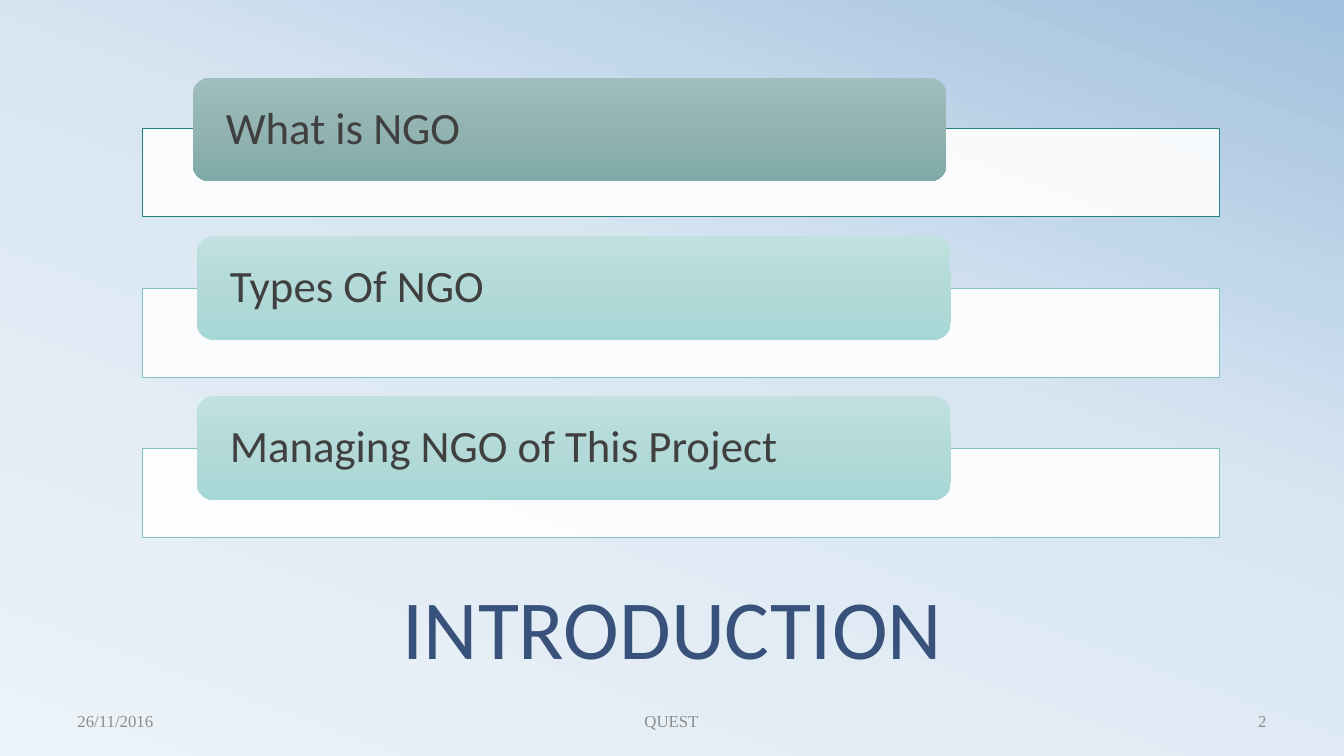
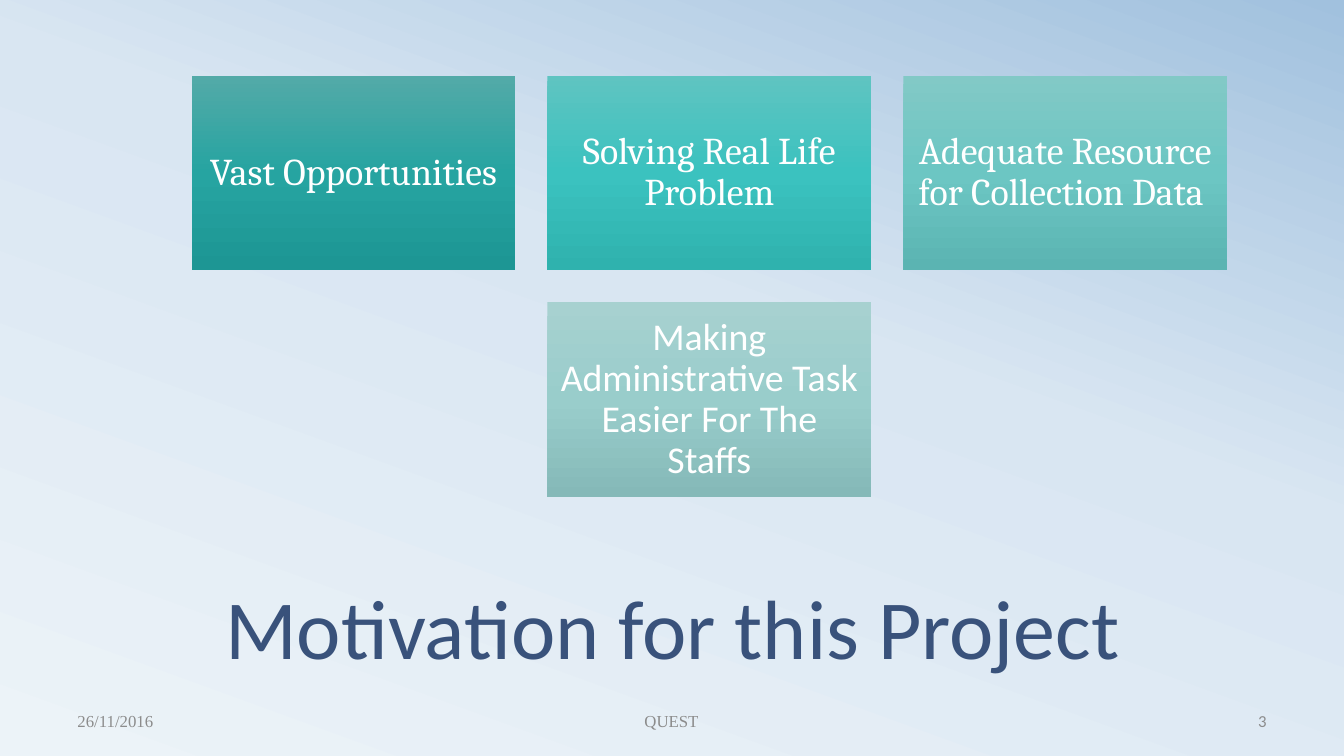
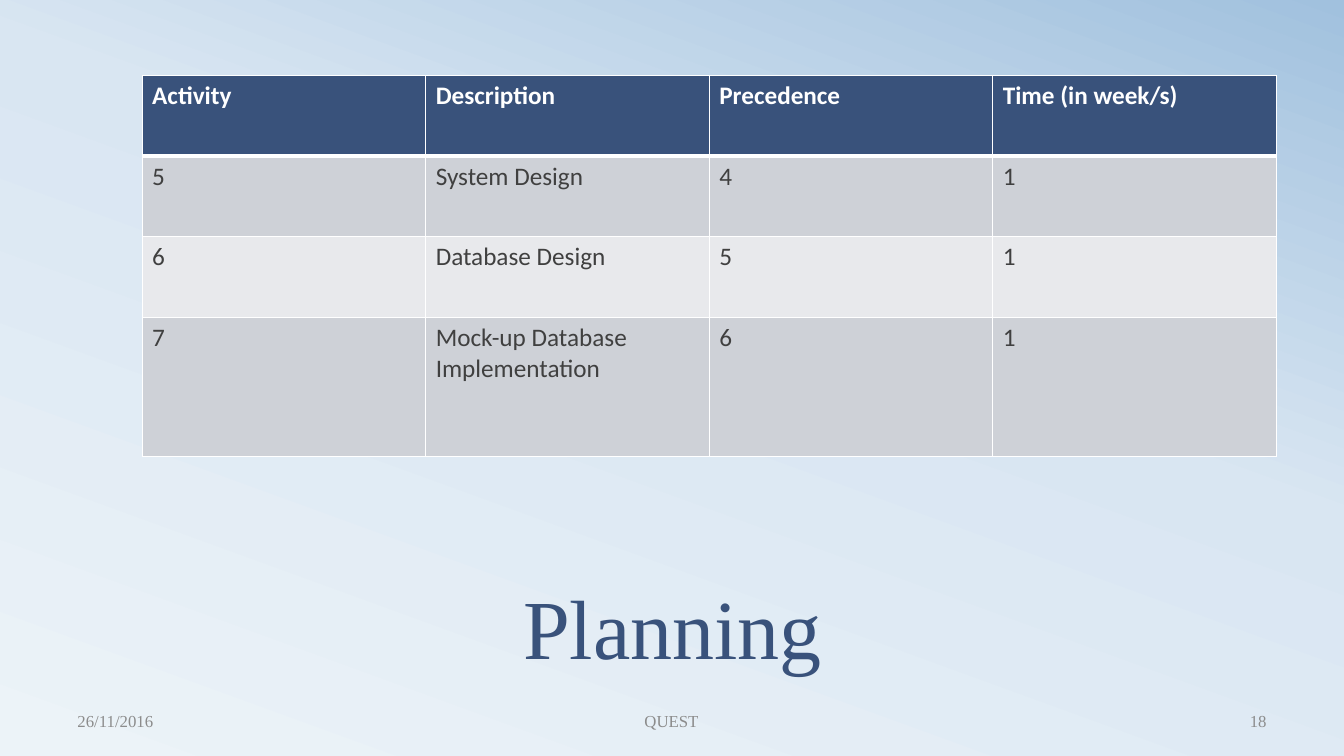
from dataclasses import dataclass

from pptx import Presentation
from pptx.dml.color import RGBColor
from pptx.enum.shapes import MSO_SHAPE as Preset
from pptx.enum.text import MSO_ANCHOR as Anchor, PP_ALIGN as Align
from pptx.oxml import parse_xml
from pptx.oxml.ns import nsdecls, qn
from pptx.util import Inches, Pt

WHITE, NAVY, DARK, GREY = "FFFFFF", "39527B", "404040", "8C8C8C"
BAND_ODD, BAND_EVEN = "CED1D7", "E8E9EC"
SANS, SERIF, CLASSIC = "Calibri", "Cambria", "Times New Roman"
BACKGROUND = ((0, "ECF3F8"), (58, "D9E6F2"), (100, "A1C1DE"))


@dataclass(frozen=True)
class TextStyle:
    font: str
    size: float
    color: str
    align: Align = Align.LEFT
    spacing: float = 1.0
    bold: bool = False


@dataclass(frozen=True)
class Topic:
    text: str
    left: float
    top: float
    outline: str
    shades: tuple[str, str, str]


@dataclass(frozen=True)
class Tile:
    text: str
    column: int
    row: int
    shades: tuple[str, str, str]
    font: str = SERIF


PALE = ("C0E1E0", "B3DAD9", "A7D7D5")
TOPICS = (
    Topic("What is NGO", 1.91, 0.77, "24817F", ("9FBEBD", "92B3B2", "7EAAA8")),
    Topic("Types Of NGO", 1.95, 2.34, "7FC4C2", PALE),
    Topic("Managing NGO of This Project", 1.95, 3.93, "7FC4C2", PALE),
)
TILES = (
    Tile("Vast Opportunities", 0, 0, ("53AAA8", "26A4A1", "1D9694")),
    Tile("Solving Real Life Problem", 1, 0, ("5FC4C1", "3BC2BF", "2FB2AE")),
    Tile("Adequate Resource for Collection Data ", 2, 0, ("82C9C6", "6CC6C3", "5BB4B2")),
    Tile("Making Administrative Task Easier For The Staffs", 1, 1,
         ("A7D1D0", "99CDCB", "85B9B8"), SANS),
)
PLAN = (
    ("Activity", "Description", "Precedence", "Time (in week/s)"),
    ("5", "System Design", "4", "1"),
    ("6", "Database Design", "5", "1"),
    ("7", "Mock-up Database Implementation", "6", "1"),
)
ROW_HEIGHTS = (0.8, 0.8, 0.8, 1.38)


def rgb(color: str) -> RGBColor:
    return RGBColor.from_string(color)


def fill_gradient(fill, element, stops, angle: float) -> None:
    """Apply (percent, colour) stops; the angle runs anticlockwise."""
    fill.gradient()
    fill.gradient_angle = angle
    stop_list = element.find(".//" + qn("a:gsLst"))
    for stop in list(stop_list):
        stop_list.remove(stop)
    for percent, color in stops:
        stop_list.append(parse_xml(
            f'<a:gs {nsdecls("a")} pos="{percent * 1000}"><a:srgbClr val="{color}"/></a:gs>'))


def write(frame, text: str, style: TextStyle) -> None:
    paragraph = frame.paragraphs[0]
    paragraph.text = text
    paragraph.alignment = style.align
    paragraph.line_spacing = style.spacing
    font = paragraph.font
    font.name, font.size, font.bold = style.font, Pt(style.size), style.bold
    font.color.rgb = rgb(style.color)


def add_text(slide, left: float, top: float, width: float, height: float,
             text: str, style: TextStyle, anchor: Anchor = Anchor.MIDDLE) -> None:
    box = slide.shapes.add_textbox(Inches(left), Inches(top), Inches(width), Inches(height))
    box.text_frame.word_wrap = True
    box.text_frame.vertical_anchor = anchor
    write(box.text_frame, text, style)


def add_shape(slide, preset: Preset, left: float, top: float, width: float, height: float):
    shape = slide.shapes.add_shape(
        preset, Inches(left), Inches(top), Inches(width), Inches(height))
    shape.shadow.inherit = False
    return shape


def add_block(slide, preset: Preset, left: float, top: float, width: float, height: float,
              shades: tuple[str, str, str], text: str, style: TextStyle,
              side: float, edge: float) -> None:
    """Draw a shaded, unlined block with text inset by side and edge."""
    block = add_shape(slide, preset, left, top, width, height)
    fill_gradient(block.fill, block._element, zip((0, 50, 100), shades), 270)
    block.line.fill.background()
    frame = block.text_frame
    frame.word_wrap = True
    frame.vertical_anchor = Anchor.MIDDLE
    frame.margin_left = frame.margin_right = Inches(side)
    frame.margin_top = frame.margin_bottom = Inches(edge)
    write(frame, text, style)


def add_page(presentation, title: str, number: str,
             title_font: str = SANS, number_font: str = CLASSIC):
    """Add a blank slide with the shared title and footers."""
    slide = presentation.slides.add_slide(presentation.slide_layouts[6])
    add_text(slide, 0.67, 5.58, 12, 1.17, title,
             TextStyle(title_font, 60, NAVY, Align.CENTER, 0.8), Anchor.BOTTOM)
    for left, width, text, font, align in (
        (0.67, 3.11, "26/11/2016", CLASSIC, Align.LEFT),
        (4.55, 4.22, "QUEST", CLASSIC, Align.CENTER),
        (9.55, 3.11, number, number_font, Align.RIGHT),
    ):
        add_text(slide, left, 6.95, width, 0.4, text, TextStyle(font, 12, GREY, align))
    return slide


def add_topics(slide) -> None:
    style = TextStyle(SANS, 32, DARK, spacing=0.9)
    for index, topic in enumerate(TOPICS):
        bar = add_shape(slide, Preset.RECTANGLE, 1.41, 1.27 + index * 1.59, 10.68, 0.88)
        bar.fill.solid()
        bar.fill.fore_color.rgb = rgb(WHITE)
        bar._element.spPr.find(".//" + qn("a:srgbClr")).append(
            parse_xml(f'<a:alpha {nsdecls("a")} val="90000"/>'))
        bar.line.color.rgb = rgb(topic.outline)
        bar.line.width = Pt(0.5)
        add_block(slide, Preset.ROUNDED_RECTANGLE, topic.left, topic.top, 7.48, 1.03,
                  topic.shades, topic.text, style, 0.28, 0)


def add_tiles(slide) -> None:
    width, height, gap = 3.21, 1.93, 0.32
    for tile in TILES:
        add_block(slide, Preset.RECTANGLE,
                  1.9 + tile.column * (width + gap), 0.75 + tile.row * (height + gap),
                  width, height, tile.shades, tile.text,
                  TextStyle(tile.font, 27, WHITE, Align.CENTER, 0.9), 0.11, 0.11)


def set_borders(cell, top: float, bottom: float) -> None:
    """Draw white cell borders; call before the cell is filled."""
    properties = cell._tc.get_or_add_tcPr()
    for side, points in (("L", 1), ("R", 1), ("T", top), ("B", bottom)):
        properties.append(parse_xml(
            f'<a:ln{side} {nsdecls("a")} w="{Pt(points)}"><a:solidFill>'
            f'<a:srgbClr val="{WHITE}"/></a:solidFill></a:ln{side}>'))


def add_plan(slide) -> None:
    table = slide.shapes.add_table(
        len(PLAN), len(PLAN[0]), Inches(1.41), Inches(0.75),
        Inches(11.25), Inches(sum(ROW_HEIGHTS))).table
    for row_index, values in enumerate(PLAN):
        table.rows[row_index].height = Inches(ROW_HEIGHTS[row_index])
        header = row_index == 0
        fill = NAVY if header else BAND_ODD if row_index % 2 else BAND_EVEN
        style = TextStyle(SANS, 18, WHITE if header else DARK, bold=header)
        for column_index, value in enumerate(values):
            cell = table.cell(row_index, column_index)
            set_borders(cell, 3 if row_index == 1 else 1, 3 if header else 1)
            cell.fill.solid()
            cell.fill.fore_color.rgb = rgb(fill)
            write(cell.text_frame, value, style)


def main() -> None:
    presentation = Presentation()
    presentation.slide_width, presentation.slide_height = Inches(13.33), Inches(7.5)
    master = presentation.slide_master
    fill_gradient(master.background.fill, master._element, BACKGROUND, 70)

    add_topics(add_page(presentation, "INTRODUCTION", "2"))
    add_tiles(add_page(presentation, "Motivation for this Project", "3", number_font=SANS))
    add_plan(add_page(presentation, "Planning", "18", title_font=CLASSIC))
    presentation.save("out.pptx")


if __name__ == "__main__":
    main()
